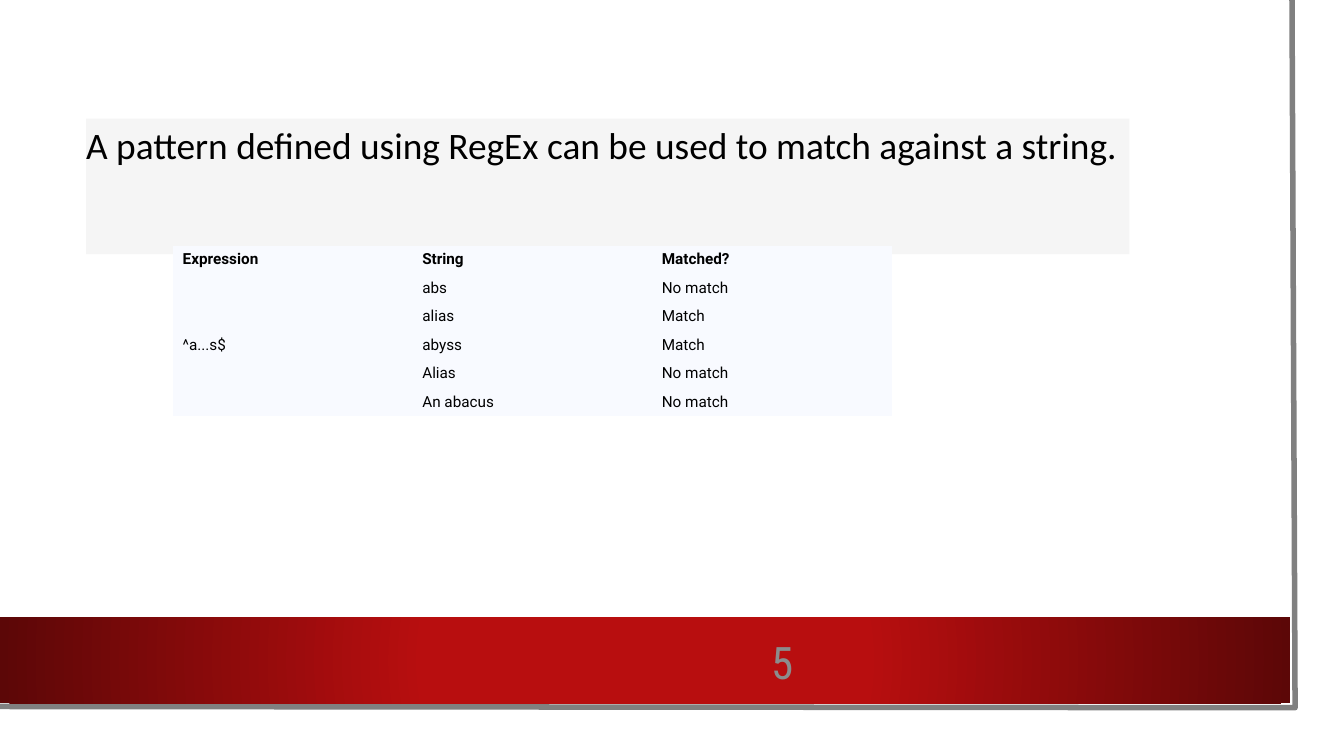
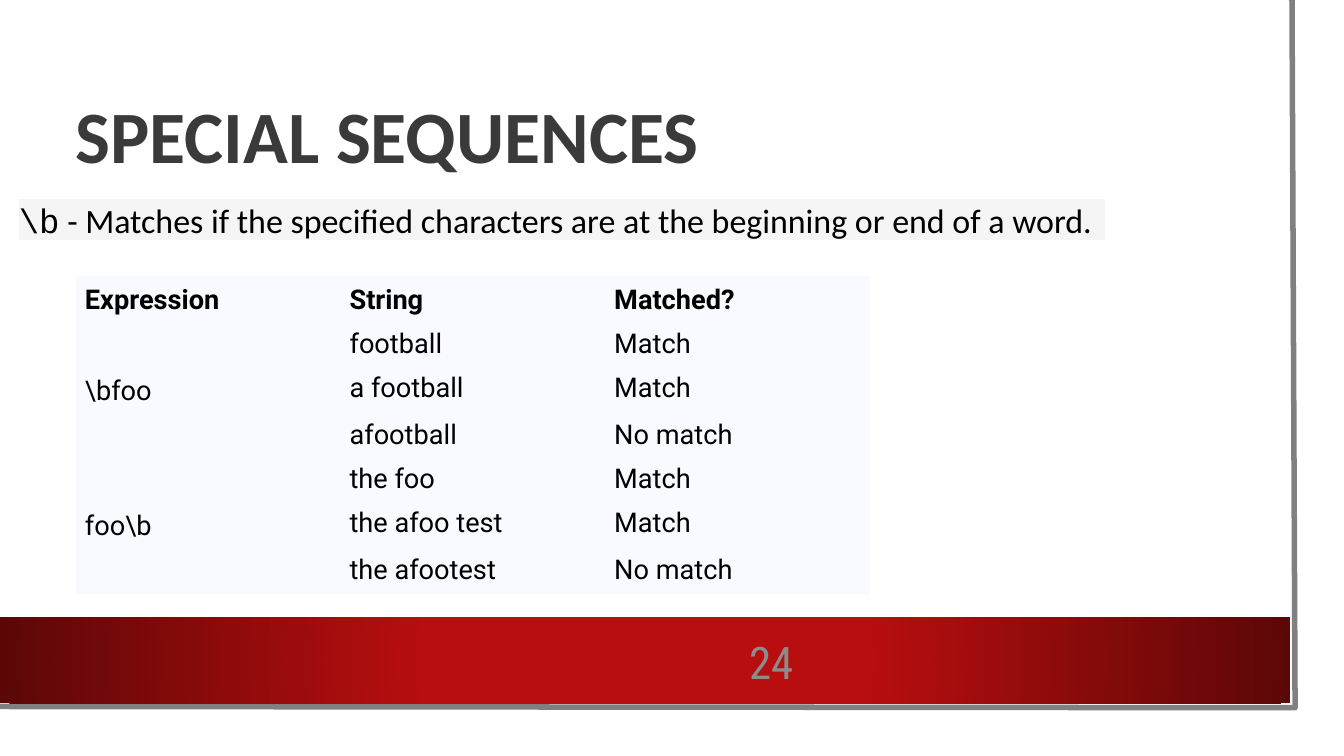
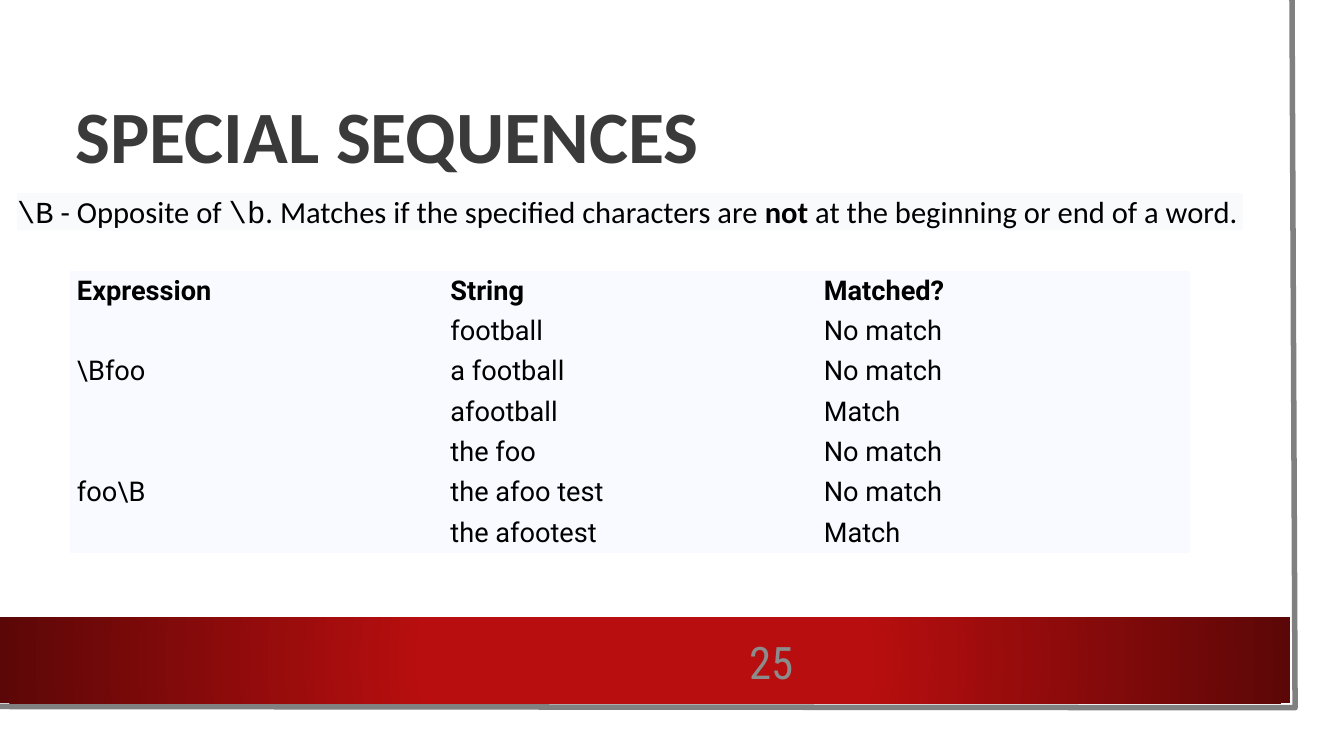
from dataclasses import dataclass

from pptx import Presentation
from pptx.dml.color import RGBColor
from pptx.enum.shapes import MSO_SHAPE
from pptx.enum.text import MSO_ANCHOR, PP_ALIGN
from pptx.oxml import parse_xml
from pptx.oxml.ns import nsdecls, qn
from pptx.util import Pt

EMU_PER_PX = 9144
PLAIN_TABLE = "{2D5ABB26-0587-4C30-8999-92F81FD0307C}"


def px(length):
    return length * EMU_PER_PX


@dataclass(frozen=True)
class Theme:
    ink: str = "000000"
    title_ink: str = "3A3A3A"
    number_ink: str = "8C8C8C"
    frame: str = "808080"
    band_centre: str = "B80E0F"
    band_edge: str = "5C0707"
    note_fill: str = "F5F5F5"
    pale_note_fill: str = "F9FAFC"
    cell_fill: str = "F8FAFF"
    body_font: str = "Calibri"
    code_font: str = "Courier New"
    table_font: str = "Roboto"
    number_font: str = "Roboto Condensed"
    title_size: float = 87
    number_size: float = 52.8
    table_size: float = 32
    small_table_size: float = 18
    frame_width: float = 6.5


class SlideBuilder:
    def __init__(self, deck, theme):
        self.deck = deck
        self.theme = theme
        self.page = None

    def new_page(self, number):
        self.page = self.deck.slides.add_slide(self.deck.slide_layouts[6])
        self.frame()
        self.band()
        self.page_number(number)

    def style(self, font, name, size, color, bold=False):
        font.name = name
        font.size = Pt(size)
        font.bold = bold
        font.color.rgb = RGBColor.from_string(color)

    def prepare(self, text_frame, anchor):
        text_frame.word_wrap = True
        text_frame.vertical_anchor = anchor
        text_frame.margin_left = text_frame.margin_right = 0
        text_frame.margin_top = text_frame.margin_bottom = 0
        return text_frame.paragraphs[0]

    def rectangle(self, left, top, width, height):
        box = self.page.shapes.add_shape(
            MSO_SHAPE.RECTANGLE, px(left), px(top), px(width), px(height))
        box.shadow.inherit = False
        box.line.fill.background()
        return box

    def frame(self):
        builder = self.page.shapes.build_freeform(2114, 0, EMU_PER_PX)
        builder.add_line_segments([(2119, 1158), (-5, 1156)], close=False)
        outline = builder.convert_to_shape()
        outline.shadow.inherit = False
        outline.fill.background()
        outline.line.color.rgb = RGBColor.from_string(self.theme.frame)
        outline.line.width = Pt(self.theme.frame_width)

    def band(self):
        band = self.rectangle(0, 1010, 2111, 141)
        band.fill.background()
        stops = "".join(
            f'<a:gs pos="{position}"><a:srgbClr val="{color}"/></a:gs>'
            for position, color in ((34000, self.theme.band_centre),
                                    (100000, self.theme.band_edge)))
        gradient = parse_xml(
            f'<a:gradFill {nsdecls("a")} rotWithShape="1"><a:gsLst>{stops}</a:gsLst>'
            '<a:path path="circle"><a:fillToRect l="50000" t="50000" '
            'r="50000" b="50000"/></a:path></a:gradFill>')
        properties = band._element.spPr
        properties.replace(properties.find(qn("a:noFill")), gradient)

    def label(self, left, top, width, height, text):
        box = self.page.shapes.add_textbox(px(left), px(top), px(width), px(height))
        paragraph = self.prepare(box.text_frame, MSO_ANCHOR.MIDDLE)
        paragraph.text = text
        return paragraph

    def page_number(self, number):
        paragraph = self.label(1134, 1038, 164, 90, str(number))
        paragraph.alignment = PP_ALIGN.RIGHT
        self.style(paragraph.font, self.theme.number_font,
                   self.theme.number_size, self.theme.number_ink)

    def title(self, text):
        paragraph = self.label(124, 124, 1875, 208, text)
        paragraph.line_spacing = 0.9
        self.style(paragraph.font, self.theme.body_font,
                   self.theme.title_size, self.theme.title_ink, True)

    def note(self, left, top, width, height, spans, size, fill,
             anchor=MSO_ANCHOR.MIDDLE, inset=0):
        box = self.rectangle(left, top, width, height)
        box.fill.solid()
        box.fill.fore_color.rgb = RGBColor.from_string(fill)
        paragraph = self.prepare(box.text_frame, anchor)
        box.text_frame.margin_top = px(inset)
        paragraph.alignment = PP_ALIGN.LEFT
        self.style(paragraph.font, self.theme.body_font, size, self.theme.ink)
        for text, kind in spans:
            span = paragraph.add_run()
            span.text = text
            if kind == "code":
                span.font.name = self.theme.code_font
            elif kind == "strong":
                span.font.bold = True

    def match_table(self, left, top, column_width, row_heights, groups, size, inset):
        rows = [("Expression", "String", "Matched?")]
        merges = []
        for expression, cases in groups:
            merges.append((len(rows), len(rows) + len(cases) - 1))
            for index, case in enumerate(cases):
                rows.append((expression if index == 0 else "", *case))
        graphic = self.page.shapes.add_table(
            len(rows), 3, px(left), px(top), px(3 * column_width), px(sum(row_heights)))
        table = graphic.table
        table.first_row = table.horz_banding = False
        table._tbl.tblPr.find(qn("a:tableStyleId")).text = PLAIN_TABLE
        for column in table.columns:
            column.width = px(column_width)
        for row, height in zip(table.rows, row_heights):
            row.height = px(height)
        for row_index, texts in enumerate(rows):
            for column_index, text in enumerate(texts):
                cell = table.cell(row_index, column_index)
                self.fill_cell(cell, text, size, inset, row_index == 0)
        for first, last in merges:
            table.cell(first, 0).merge(table.cell(last, 0))

    def fill_cell(self, cell, text, size, inset, bold):
        cell.fill.solid()
        cell.fill.fore_color.rgb = RGBColor.from_string(self.theme.cell_fill)
        cell.vertical_anchor = MSO_ANCHOR.MIDDLE
        cell.margin_left = cell.margin_right = px(2 * inset)
        cell.margin_top = cell.margin_bottom = px(inset)
        paragraph = cell.text_frame.paragraphs[0]
        paragraph.text = text
        self.style(paragraph.font, self.theme.table_font, size, self.theme.ink, bold)


def cases(strings, verdicts):
    return list(zip(strings, verdicts))


def main():
    deck = Presentation()
    deck.slide_width, deck.slide_height = px(2199), px(1237)
    theme = Theme()
    slides = SlideBuilder(deck, theme)
    hit, miss = "Match", "No match"
    word_starts = ("football", "a football", "afootball")
    word_ends = ("the foo", "the afoo test", "the afootest")

    slides.new_page(5)
    slides.note(141, 194, 1707, 222,
                [("A pattern defined using RegEx can be used to match against a string.",
                  "plain")],
                44, theme.note_fill, MSO_ANCHOR.TOP, 6)
    slides.match_table(
        283, 402, 392, [46, 47] * 3,
        [("^a...s$", cases(("abs", "alias", "abyss", "Alias", "An abacus"),
                           (miss, hit, hit, miss, miss)))],
        theme.small_table_size, 8)

    slides.new_page(24)
    slides.title("SPECIAL SEQUENCES")
    slides.note(31, 326, 1777, 67,
                [(r"\b", "code"),
                 (" - Matches if the specified characters are at the beginning "
                  "or end of a word.", "plain")],
                40, theme.note_fill)
    slides.match_table(
        125, 452, 433, [77] + [66, 77, 77] * 2,
        [(r"\bfoo", cases(word_starts, (hit, hit, miss))),
         (r"foo\b", cases(word_ends, (hit, hit, miss)))],
        theme.table_size, 7)

    slides.new_page(25)
    slides.title("SPECIAL SEQUENCES")
    slides.note(28, 316, 2005, 61,
                [(r"\B", "code"), (" - Opposite of ", "plain"), (r"\b", "code"),
                 (". Matches if the specified characters are ", "plain"),
                 ("not", "strong"),
                 (" at the beginning or end of a word.", "plain")],
                36, theme.pale_note_fill)
    slides.match_table(
        114, 443, 611, [66] * 7,
        [(r"\Bfoo", cases(word_starts, (miss, miss, hit))),
         (r"foo\B", cases(word_ends, (miss, miss, hit)))],
        theme.table_size, 6)

    deck.save("out.pptx")


if __name__ == "__main__":
    main()
